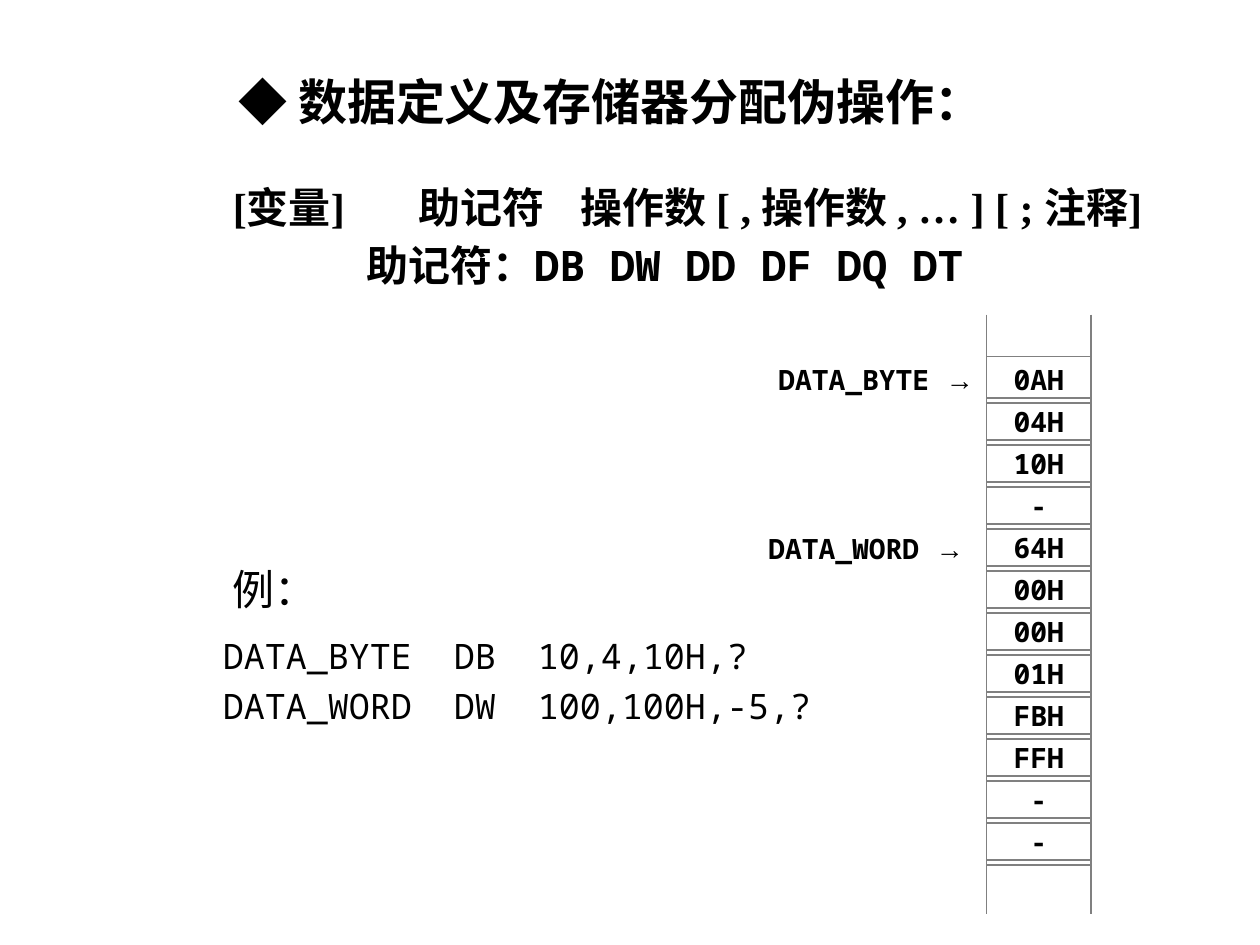
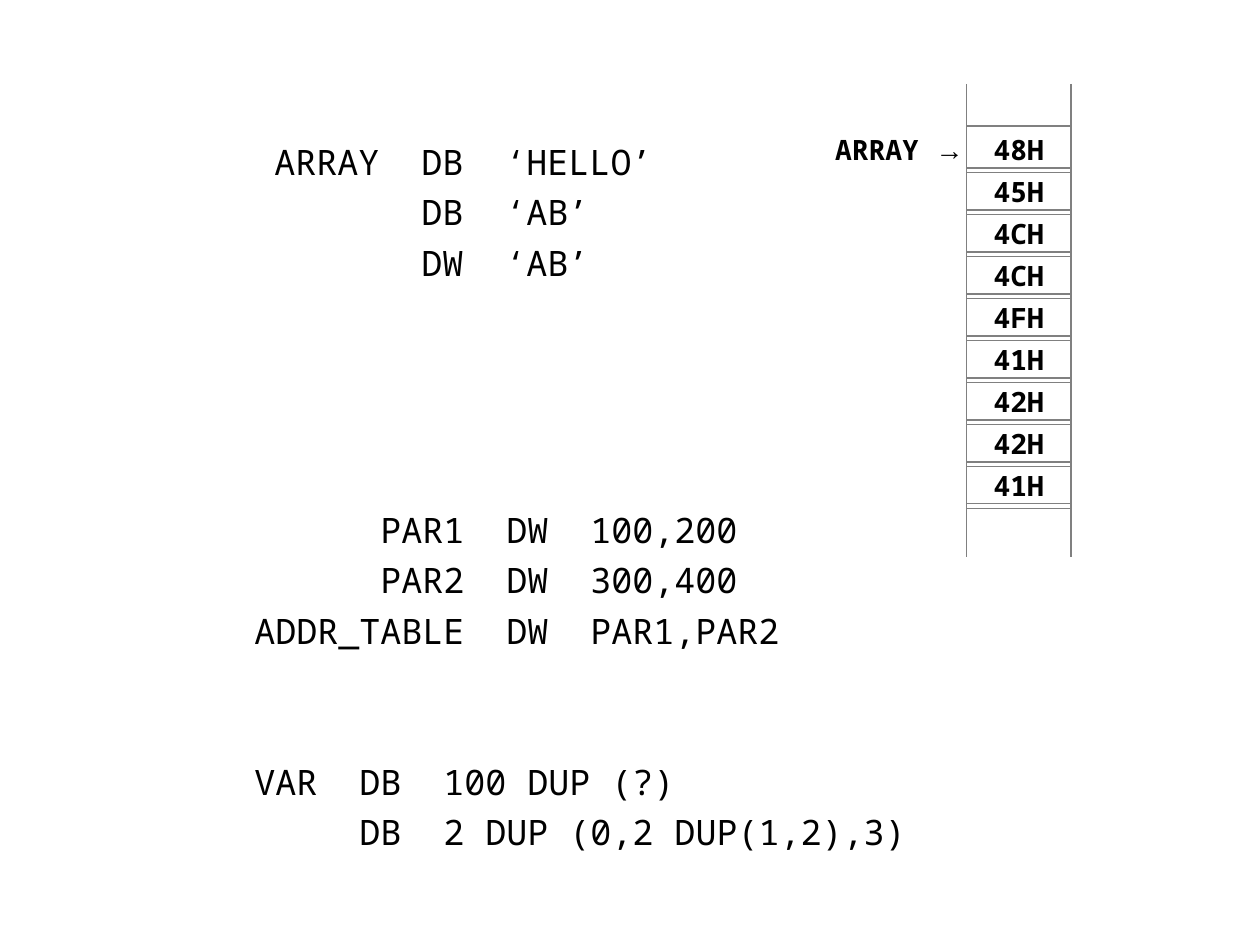
from dataclasses import dataclass

from lxml import etree
from pptx import Presentation
from pptx.dml.color import RGBColor
from pptx.enum.shapes import MSO_CONNECTOR, MSO_SHAPE
from pptx.enum.text import MSO_ANCHOR, MSO_AUTO_SIZE, PP_ALIGN
from pptx.oxml.ns import qn
from pptx.util import Inches, Pt

RECT = MSO_SHAPE.RECTANGLE
STRAIGHT = MSO_CONNECTOR.STRAIGHT
TOP = MSO_ANCHOR.TOP
GROW = MSO_AUTO_SIZE.SHAPE_TO_FIT_TEXT
LEFT, CENTER, JUSTIFY = PP_ALIGN.LEFT, PP_ALIGN.CENTER, PP_ALIGN.JUSTIFY
TITLE_ONLY, BLANK = 5, 6


@dataclass(frozen=True)
class Theme:
    ink: RGBColor = RGBColor(0, 0, 0)
    rule: RGBColor = RGBColor(0x80, 0x80, 0x80)
    serif: str = "Times New Roman"
    mono: str = "Noto Sans Mono"
    sans: str = "Arial"
    title: int = 28
    body: int = 24
    code: int = 20
    cell: int = 16


THEME = Theme()
STEP = 1 / 3
CELL_W = 0.83
CELL_H = 0.33
TEXT_H = 0.37
CODE_CHAR = 0.6 * THEME.code / 72


def style(par, font, size, bold=False):
    for run in par.runs:
        run.font.name = font
        run.font.size = Pt(size)
        run.font.bold = bold
        run.font.color.rgb = THEME.ink


def add_part(par, text, font):
    run = par.add_run()
    run.text = text
    run.font.name = font


def set_tabs(par, stops):
    props = par._p.get_or_add_pPr()
    tabs = etree.SubElement(props, qn("a:tabLst"))
    for stop in stops:
        etree.SubElement(tabs, qn("a:tab"), pos=str(Inches(stop)), algn="l")


def set_frame(shape, wrap=True):
    frame = shape.text_frame
    frame.word_wrap = wrap
    frame.auto_size = GROW
    frame.vertical_anchor = TOP
    frame.margin_left = frame.margin_right = Inches(0.1)
    frame.margin_top = frame.margin_bottom = Inches(0.05)
    return frame


def add_text(slide, box, text):
    shape = slide.shapes.add_textbox(*map(Inches, box))
    frame = set_frame(shape)
    frame.text = text
    return frame.paragraphs


def add_title(slide, box, text):
    shape = slide.shapes.title
    shape.left, shape.top, shape.width, shape.height = map(Inches, box)
    frame = set_frame(shape, wrap=False)
    frame.text = text
    par = frame.paragraphs[0]
    par.alignment = LEFT
    style(par, THEME.serif, THEME.title, True)


def add_syntax(slide, box):
    form, names = add_text(
        slide, box, "[变量]\t助记符\t操作数 [ , 操作数 , … ] [ ; 注释]\n助记符：")
    add_part(names, "DB DW DD DF DQ DT", THEME.mono)
    for par in (form, names):
        par.alignment = JUSTIFY
        par.line_spacing = 1.15
        style(par, THEME.serif, THEME.body, True)
    names.runs[1].font.name = THEME.mono
    set_tabs(form, (1.47, 2.76))
    names._p.get_or_add_pPr().set("marL", str(Inches(1.06)))


def add_code(slide, box, *blocks, gap=0):
    text = "\n".join(line for _, lines in blocks for line in lines)
    pars = iter(add_text(slide, box, text))
    for order, (columns, lines) in enumerate(blocks):
        for row, par in enumerate(next(pars) for _ in lines):
            par.line_spacing = 1.2
            if order and not row:
                par.space_before = Pt(gap)
            style(par, THEME.mono, THEME.code)
            set_tabs(par, [CODE_CHAR * column for column in columns])


def add_label(slide, box, name):
    par = add_text(slide, box, name + " ")[0]
    style(par, THEME.mono, THEME.cell, True)
    add_part(par, "→", THEME.sans)
    arrow = par.runs[1].font
    arrow.size, arrow.bold = Pt(THEME.cell), True
    arrow.color.rgb = THEME.ink


def add_frame(group, left, top, height):
    shape = group.shapes.add_shape(
        RECT, *map(Inches, (left, top, CELL_W, height)))
    shape.shadow.inherit = False
    shape.fill.background()
    shape.line.color.rgb = THEME.rule
    shape.line.width = Pt(1)
    return shape


def add_rail(group, x, top):
    line = group.shapes.add_connector(
        STRAIGHT, *map(Inches, (x, top, x, top + 0.42)))
    line.line.color.rgb = THEME.rule
    line.line.width = Pt(1)
    etree.SubElement(line._element.spPr, qn("a:effectLst"))


def add_stack(slide, left, top, values):
    group = slide.shapes.add_group_shape()
    for row, value in enumerate(values):
        y = top + row * STEP
        add_frame(group, left, y, CELL_H)
        frame = set_frame(add_frame(group, left, y, TEXT_H))
        frame.text = value
        par = frame.paragraphs[0]
        par.alignment = CENTER
        style(par, THEME.mono, THEME.cell, True)
    for y in (top - STEP, top + len(values) * STEP):
        for x in (left, left + CELL_W):
            add_rail(group, x, y)


def build_define(deck):
    slide = deck.slides.add_slide(deck.slide_layouts[TITLE_ONLY])
    add_title(slide, (1.79, 0.52, 6.11, 0.57), "◆ 数据定义及存储器分配伪操作：")
    add_syntax(slide, (1.75, 1.33, 7.58, 1.48))
    add_code(slide, (1.67, 4.92, 5.75, 0.9), (
        (11, 15),
        ("DATA_BYTE\tDB\t10,4,10H,?", "DATA_WORD\tDW\t100,100H,-5,?")))
    add_stack(slide, 7.83, 2.83, (
        "0AH", "04H", "10H", "-", "64H", "00H",
        "00H", "01H", "FBH", "FFH", "-", "-"))
    add_label(slide, (6.08, 2.83, 1.83, TEXT_H), "DATA_BYTE")
    add_label(slide, (6, 4.17, 1.83, TEXT_H), "DATA_WORD")
    head = add_text(slide, (1.75, 4.42, 1.33, 0.5), "例：")[0]
    style(head, THEME.serif, THEME.body)


def build_array(deck):
    slide = deck.slides.add_slide(deck.slide_layouts[BLANK])
    add_code(slide, (2.08, 1, 4, 1.3), (
        (7, 11), ("ARRAY\tDB\t‘HELLO’", "\tDB\t‘AB’", "\tDW\t‘AB’")))
    add_stack(slide, 7.67, 1, (
        "48H", "45H", "4CH", "4CH", "4FH", "41H", "42H", "42H", "41H"))
    add_label(slide, (6.53, 1, 1.3, TEXT_H), "ARRAY")
    add_code(
        slide, (1.92, 3.92, 5.83, 2.9),
        ((6, 12, 16), ("\tPAR1\tDW\t100,200", "\tPAR2\tDW\t300,400",
                       "ADDR_TABLE\tDW\tPAR1,PAR2")),
        ((5, 9), ("VAR\tDB\t100 DUP (?)", "\tDB\t2 DUP (0,2 DUP(1,2),3)")),
        gap=57.6)


def main():
    deck = Presentation()
    deck.slide_width, deck.slide_height = Inches(10), Inches(7.5)
    build_define(deck)
    build_array(deck)
    deck.save("out.pptx")


if __name__ == "__main__":
    main()
